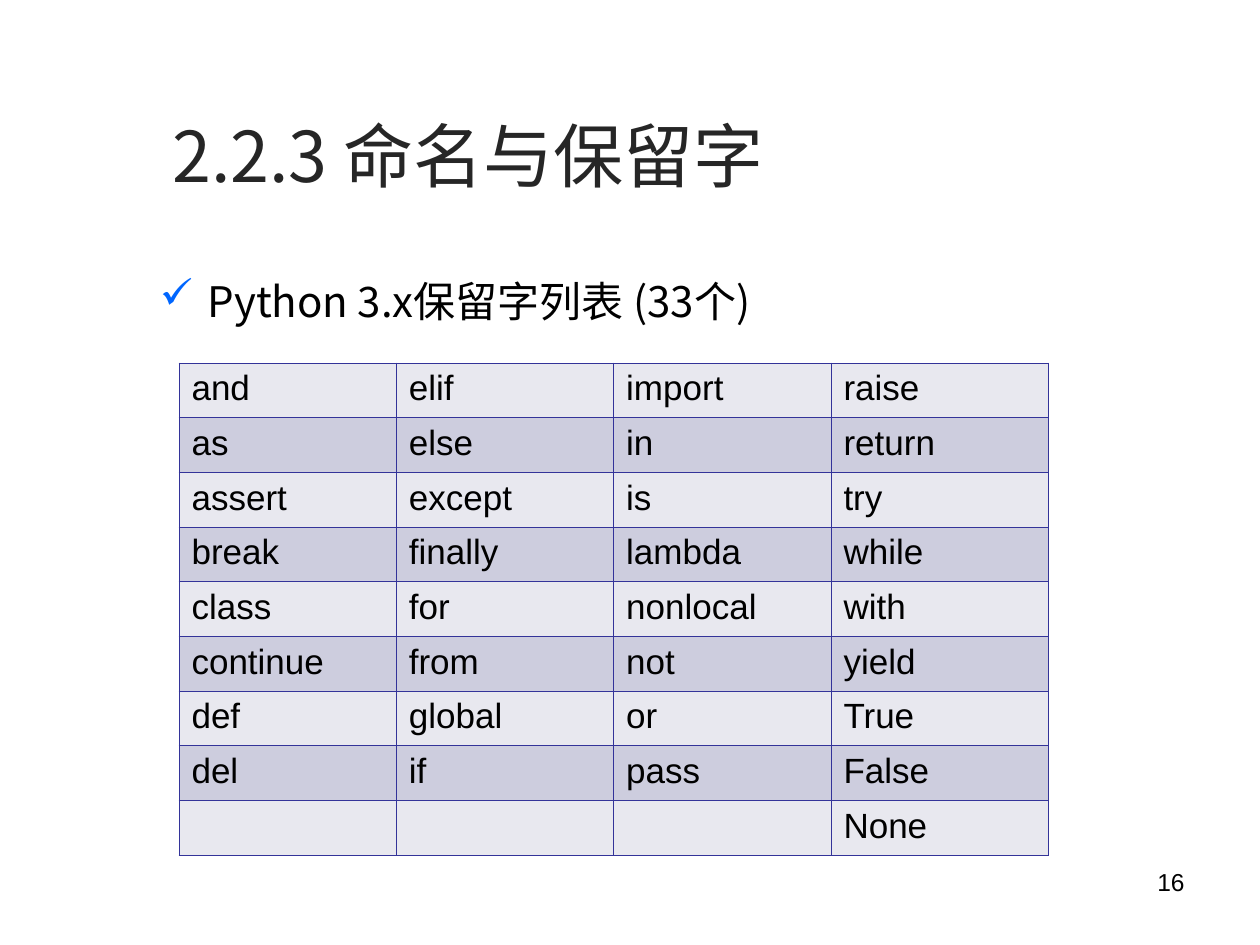
from dataclasses import dataclass

from lxml.etree import SubElement
from pptx import Presentation
from pptx.dml.color import RGBColor as RGB
from pptx.enum.text import MSO_AUTO_SIZE as AutoSize, PP_ALIGN as Align
from pptx.oxml import parse_xml
from pptx.oxml.ns import nsdecls, qn
from pptx.util import Emu, Inches, Pt


@dataclass(frozen=True)
class Theme:
    cjk: str = "Noto Sans CJK SC"
    latin: str = "Arial"
    title: str = "262626"
    ink: str = "000000"
    check: str = "0066FF"
    shadow: str = "EAEAEA"
    border: str = "333399"
    bands: tuple = ("E8E8EF", "CDCDDE")
    title_size: int = 40
    topic_size: int = 24
    word_size: int = 20
    number_size: int = 14


theme = Theme()


def style(paragraph, face, size, color):
    font = paragraph.font
    font.name, font.size = face, Pt(size)
    font.color.rgb = RGB.from_string(color)
    SubElement(font._element, qn("a:ea")).set("typeface", face)


def add_text(left, top, width, height, text):
    box = slide.shapes.add_textbox(*map(Inches, (left, top, width, height)))
    box.text_frame.word_wrap = True
    box.text_frame.text = text
    return box.text_frame


deck = Presentation()
deck.slide_width, deck.slide_height = Inches(10), Inches(7.5)
slide = deck.slides.add_slide(deck.slide_layouts[6])

# Title with a soft text shadow
heading = add_text(1.27, 0.84, 5.05, 0.77, "2.2.3 命名与保留字")
heading.word_wrap = False
heading.auto_size = AutoSize.SHAPE_TO_FIT_TEXT
title = heading.paragraphs[0]
style(title, theme.cjk, theme.title_size, theme.title)
title.font._element.find(qn("a:solidFill")).addnext(parse_xml(
    f'<a:effectLst {nsdecls("a")}><a:outerShdw dist="38100" dir="2700000">'
    f'<a:srgbClr val="{theme.shadow}"/></a:outerShdw></a:effectLst>'))

# Checked topic line
topic_frame = add_text(0.67, 1.94, 8.82, 0.7, "Python 3.x保留字列表 (33个)")
topic_frame.auto_size = AutoSize.SHAPE_TO_FIT_TEXT
topic = topic_frame.paragraphs[0]
topic.level, topic.alignment, topic.line_spacing = 1, Align.JUSTIFY, 1.5
indents = topic._p.get_or_add_pPr()
indents.set("marL", str(Inches(0.88)))
indents.set("indent", str(Inches(-0.38)))
SubElement(SubElement(indents, qn("a:buClr")), qn("a:srgbClr")).set("val", theme.check)
SubElement(indents, qn("a:buChar")).set("char", "✓")
style(topic, theme.cjk, theme.topic_size, theme.ink)

# Reserved words, listed column by column
columns = [
    "and as assert break class continue def del".split(),
    "elif else except finally for from global if".split(),
    "import in is lambda nonlocal not or pass".split(),
    "raise return try while with yield True False None".split(),
]
row_count = max(map(len, columns))
words = slide.shapes.add_table(
    row_count, len(columns), Inches(1.42), Inches(2.88), Inches(6.9), Inches(3.9)).table
words.first_row = words.horz_banding = False
for row in words.rows:
    row.height = Emu(Inches(3.9) // row_count)

for c, column in enumerate(columns):
    for r in range(row_count):
        cell = words.cell(r, c)
        cell.text = column[r] if r < len(column) else ""
        style(cell.text_frame.paragraphs[0], theme.latin, theme.word_size, theme.ink)
        borders = cell._tc.get_or_add_tcPr()
        for side in ("lnL", "lnR", "lnT", "lnB"):
            borders.append(parse_xml(
                f'<a:{side} {nsdecls("a")} w="{Pt(0.45)}"><a:solidFill>'
                f'<a:srgbClr val="{theme.border}"/></a:solidFill></a:{side}>'))
        cell.fill.solid()
        cell.fill.fore_color.rgb = RGB.from_string(theme.bands[r % 2])

# Slide number
number = add_text(7.17, 6.83, 2.33, 0.52, "16").paragraphs[0]
number.alignment = Align.RIGHT
style(number, theme.latin, theme.number_size, theme.ink)

deck.save("out.pptx")
